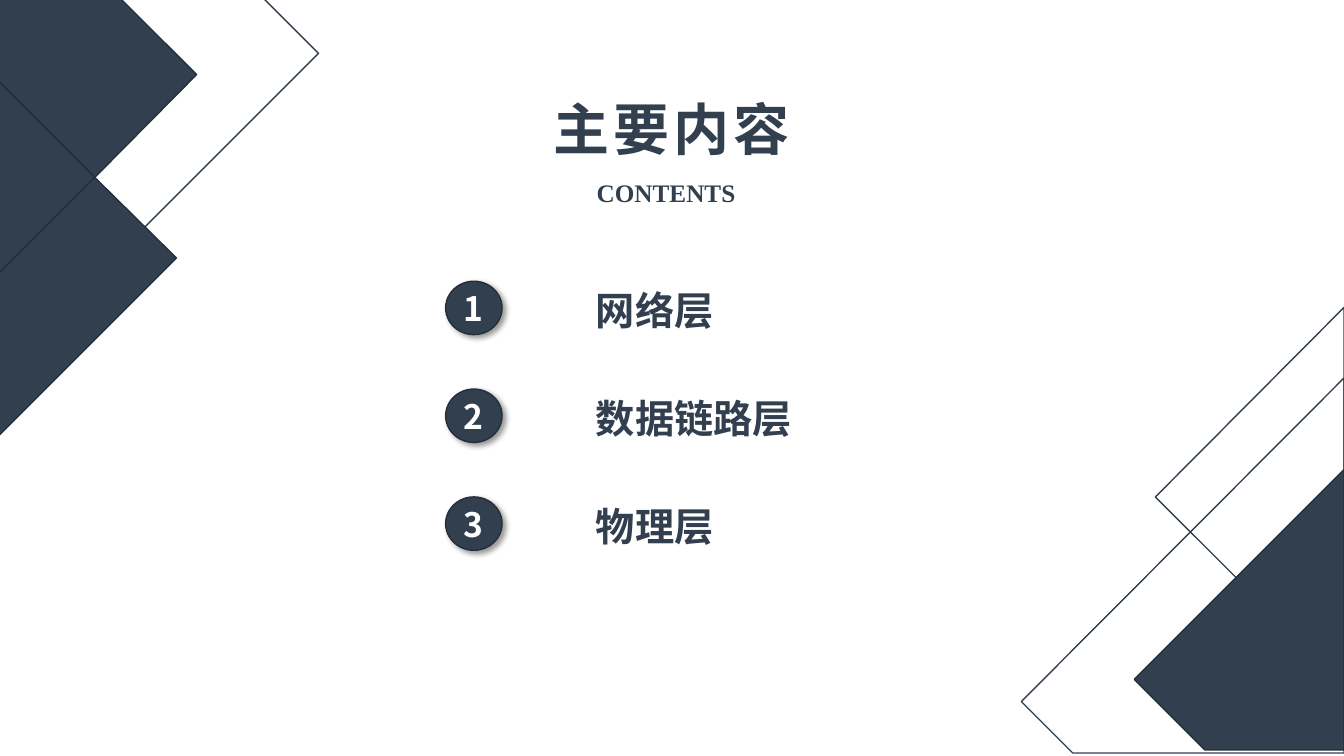
from pptx import Presentation
from pptx.dml.color import RGBColor
from pptx.enum.shapes import MSO_SHAPE as Form
from pptx.enum.text import MSO_ANCHOR as Anchor, MSO_AUTO_SIZE as Auto, PP_ALIGN as Align
from pptx.oxml import parse_xml
from pptx.oxml.ns import nsdecls
from pptx.util import Inches, Pt

SLATE = RGBColor(0x32, 0x3F, 0x4F)
EDGE = RGBColor(0x25, 0x2F, 0x3A)
WHITE = RGBColor(0xFF, 0xFF, 0xFF)
SERIF, SANS = "Times New Roman", "Noto Sans CJK SC"
CELL = Inches(0.1)

# Corner outlines, as (column, row) points on the grid
FRAMES = [
    [(133.3, 30.5), (133.3, 68), (114.6, 49.3)],
    [(133.3, 37.5), (133.3, 74.7), (106.4, 74.7), (101.3, 69.6)],
    [(-0.5, 37.4), (-0.5, -0.3), (26, -0.3), (31.6, 5.3)],
]
BLOCKS = [
    [(133.3, 46.6), (133.3, 74.4), (119.5, 74.4), (112.5, 67.4)],
    [(-0.3, -0.3), (11.8, -0.3), (19.5, 7.4), (9.4, 17.6), (-0.3, 7.9)],
    [(-0.3, 7.9), (9.4, 17.6), (-0.3, 27.3)],
    [(9.4, 17.6), (17.5, 25.6), (-0.3, 43.4), (-0.3, 27.3)],
]
TOPICS = ["网络层", "数据链路层", "物理层"]
TOP, STEP = 27.9, 10.7


class Deck:
    """Draws on one slide, with lengths in columns and rows of CELL."""

    def __init__(self):
        self.file = Presentation()
        self.file.slide_width, self.file.slide_height = Inches(13.33), Inches(7.5)
        self.slide = self.file.slides.add_slide(self.file.slide_layouts[5])
        self.shapes = self.slide.shapes

    def paint(self, shape, edge, fill=None):
        shape.shadow.inherit = False
        if fill is None:
            shape.fill.background()
        else:
            shape.fill.solid()
            shape.fill.fore_color.rgb = fill
        shape.line.color.rgb = edge
        shape.line.width = Pt(1)

    def area(self, points, edge, fill=None):
        spots = [(x * CELL, y * CELL) for x, y in points]
        pen = self.shapes.build_freeform(*spots[0])
        pen.add_line_segments(spots[1:], close=True)
        self.paint(pen.convert_to_shape(), edge, fill)

    def letter(self, shape, text, size, face, color=SLATE, space=0, frame=None, para=None):
        """Fill in one bold line; frame and para hold format values."""
        body = shape.text_frame
        body.text = text
        line = body.paragraphs[0]
        run = line.runs[0]
        font = {"size": Pt(size), "name": face, "bold": True}
        for item, values in ((body, frame), (line, para), (run.font, font)):
            for name, value in (values or {}).items():
                setattr(item, name, value)
        run.font.color.rgb = color
        props = run._r.get_or_add_rPr()
        props.append(parse_xml(f'<a:ea {nsdecls("a")} typeface="{SANS}"/>'))
        if space:
            props.set("spc", str(space * 100))

    def title(self, box, text):
        shape = self.shapes.title
        for name, value in zip(("left", "top", "width", "height"), box):
            setattr(shape, name, int(value * CELL))
        self.letter(shape, text, 40, SERIF, space=3,
                    frame={"word_wrap": True, "auto_size": Auto.SHAPE_TO_FIT_TEXT,
                           "vertical_anchor": Anchor.TOP},
                    para={"alignment": Align.CENTER, "line_spacing": 1.25})

    def label(self, box, text, size, face, align=Align.LEFT, inset=1):
        shape = self.shapes.add_textbox(*(int(v * CELL) for v in box))
        self.letter(shape, text, size, face,
                    frame={"word_wrap": True, "auto_size": Auto.SHAPE_TO_FIT_TEXT,
                           "margin_left": int(inset * CELL)},
                    para={"alignment": align})

    def badge(self, box, text):
        shape = self.shapes.add_shape(Form.OVAL, *(int(v * CELL) for v in box))
        self.paint(shape, EDGE, SLATE)
        effects = shape._element.spPr.find(".//{*}effectLst")
        effects.append(parse_xml(
            f'<a:outerShdw {nsdecls("a")} blurRad="{Pt(4)}" dist="{Pt(3)}" dir="2700000" '
            'algn="tl" rotWithShape="0"><a:srgbClr val="000000">'
            '<a:alpha val="40000"/></a:srgbClr></a:outerShdw>'))
        sides = ("left", "top", "right", "bottom")
        self.letter(shape, text, 24, SANS, WHITE,
                    frame={"vertical_anchor": Anchor.MIDDLE,
                           **{f"margin_{side}": 0 for side in sides}},
                    para={"alignment": Align.CENTER})


def main():
    deck = Deck()
    for points in FRAMES:
        deck.area(points, SLATE)
    for points in BLOCKS:
        deck.area(points, EDGE, SLATE)
    deck.title((51.5, 7.2, 30.2, 9.4), "主要内容")
    deck.label((58.2, 17.1, 16.9, 4), "CONTENTS", 18, SERIF, Align.JUSTIFY)
    for index, topic in enumerate(TOPICS):
        row = TOP + index * STEP
        deck.badge((44.2, row, 5.6, 5.3), str(index + 1))
        deck.label((53.9, row, 42.9, 5.7), topic, 28, SANS, inset=5.2)
    deck.file.save("out.pptx")


if __name__ == "__main__":
    main()
